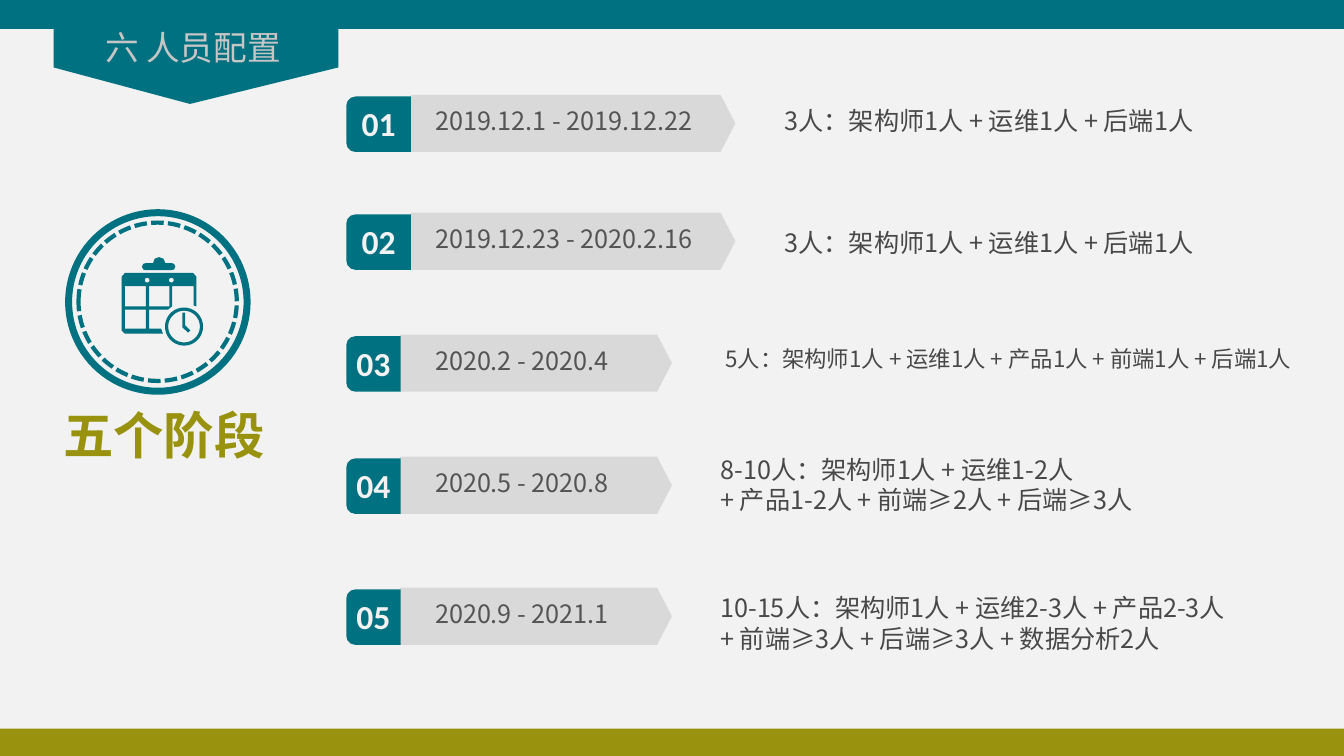
"""Build the staffing slide with its five dated stages."""
from dataclasses import dataclass
from math import cos, pi, sin

from lxml.etree import SubElement
from pptx import Presentation
from pptx.dml.color import RGBColor
from pptx.enum.dml import MSO_LINE
from pptx.enum.shapes import MSO_SHAPE
from pptx.enum.text import PP_ALIGN
from pptx.oxml.ns import qn
from pptx.shapes.autoshape import Shape
from pptx.slide import Slide
from pptx.util import Cm, Pt

HUES = {
    "teal": "007180", "olive": "98920E", "plate": "D9D9D9", "page": "F2F2F2",
    "title": "C6C6C6", "date": "545454", "staff": "484849",
}
HAN = "Noto Sans CJK SC"
FONTS = {
    "title": {"name": HAN, "size": Pt(24), "bold": False},
    "head": {"name": HAN, "size": Pt(36), "bold": True},
    "num": {"name": "Calibri", "size": Pt(24), "bold": True},
    "body": {"name": HAN, "size": Pt(18), "bold": False},
    "small": {"name": HAN, "size": Pt(16), "bold": False},
}
FLUSH = {"margin_left": 0, "margin_right": 0, "margin_top": 0, "margin_bottom": 0}
WIDTH, HEIGHT, BAND = 33.88, 19.05, 0.73
UNITS = 1000

Box = tuple[float, float, float, float]
Points = list[tuple[float, float]]


@dataclass(frozen=True)
class Layout:
    badge: float
    plate: Box
    staff: float


@dataclass(frozen=True)
class Stage:
    num: str
    date: str
    top: float
    layout: Layout
    staff: list[str]
    drop: float
    span: float
    font: str = "body"


WIDE = Layout(1.63, (10.36, 0, 8.18, 1.44), 19.53)
SLIM = Layout(1.37, (10.08, 0, 6.86, 1.44), 17.91)
TRIO = ["3人：架构师1人 + 运维1人 + 后端1人"]
STAGES = [
    Stage("01", "2019.12.1 - 2019.12.22", 2.39, WIDE, TRIO, 0.15, 11.43),
    Stage("02", "2019.12.23 - 2020.2.16", 5.36, WIDE, TRIO, 0.25, 11.43),
    Stage("03", "2020.2 - 2020.4", 8.43, SLIM,
          [" 5人：架构师1人 + 运维1人 + 产品1人 + 前端1人 + 后端1人"], 0.15, 16, "small"),
    Stage("04", "2020.5 - 2020.8", 11.51, SLIM,
          ["8-10人：架构师1人 + 运维1-2人", "+ 产品1-2人 + 前端≥2人 + 后端≥3人"], -0.18, 11.4),
    Stage("05", "2020.9 - 2021.1", 14.81, SLIM,
          ["10-15人：架构师1人 + 运维2-3人 + 产品2-3人",
           "+ 前端≥3人 + 后端≥3人 + 数据分析2人"], 0, 14.3),
]


def tint(hue: str) -> RGBColor:
    return RGBColor.from_string(HUES[hue])


def paint(shape: Shape, hue: str) -> None:
    shape.shadow.inherit = False
    shape.fill.solid()
    shape.fill.fore_color.rgb = tint(hue)
    shape.line.fill.background()


def block(slide: Slide, kind: MSO_SHAPE, box: Box, hue: str) -> Shape:
    shape = slide.shapes.add_shape(kind, *map(Cm, box))
    paint(shape, hue)
    return shape


def ring(slide: Slide, box: Box, weight: float, dash: MSO_LINE) -> None:
    shape = slide.shapes.add_shape(MSO_SHAPE.OVAL, *map(Cm, box))
    shape.shadow.inherit = False
    shape.fill.background()
    shape.line.color.rgb = tint("teal")
    shape.line.width = Pt(weight)
    shape.line.dash_style = dash


def write(slide: Slide, box: Box, lines: list[str], style: str, hue: str,
          align: PP_ALIGN = PP_ALIGN.LEFT, flush: bool = False) -> None:
    frame = slide.shapes.add_textbox(*map(Cm, box)).text_frame
    frame.word_wrap = True
    if flush:
        for name, value in FLUSH.items():
            setattr(frame, name, value)
    for i, line in enumerate(lines):
        para = frame.add_paragraph() if i else frame.paragraphs[0]
        para.alignment = align
        run = para.add_run()
        run.text = line
        for name, value in FONTS[style].items():
            setattr(run.font, name, value)
        run.font.color.rgb = tint(hue)
        SubElement(run._r.get_or_add_rPr(), qn("a:ea"), typeface=FONTS[style]["name"])


def outline(slide: Slide, parts: list[Points], hue: str) -> None:
    scaled = [[(x * UNITS, y * UNITS) for x, y in part] for part in parts]
    pen = slide.shapes.build_freeform(*scaled[0][0], scale=Cm(1) / UNITS)
    for i, part in enumerate(scaled):
        if i:
            pen.move_to(*part[0])
        pen.add_line_segments(part[1:], close=True)
    paint(pen.convert_to_shape(), hue)


def disc(x: float, y: float, size: float) -> Points:
    turns = [2 * pi * i / 36 for i in range(36)]
    return [(x + size * cos(t), y + size * sin(t)) for t in turns]


def pane(left: float, top: float, right: float, base: float) -> Points:
    return [(left, top), (right, top), (right, base), (left, base)]


def icon(slide: Slide) -> None:
    clip = [(3.58, 6.72), (3.61, 6.65), (3.68, 6.63), (3.86, 6.63), (3.9, 6.52),
            (4.01, 6.48), (4.12, 6.52), (4.17, 6.63), (4.32, 6.63), (4.39, 6.65),
            (4.42, 6.72), (4.39, 6.79), (4.32, 6.81), (3.68, 6.81), (3.61, 6.79)]
    page = [(3.07, 6.97), (3.15, 6.88), (4.87, 6.88), (4.95, 6.97), (4.95, 7.72),
            (4.88, 7.7), (4.88, 7.21), (4.34, 7.21), (4.34, 7.72), (4.24, 7.8),
            (3.76, 7.8), (3.76, 8.28), (4.06, 8.28), (4.11, 8.41), (3.15, 8.41),
            (3.07, 8.33)]
    hands = [(4.6, 7.88), (4.67, 7.88), (4.67, 8.2), (4.8, 8.33), (4.74, 8.38), (4.6, 8.25)]
    holes = [pane(3.15, 7.21, 3.68, 7.72), pane(3.15, 7.8, 3.68, 8.28),
             pane(3.76, 7.21, 4.27, 7.72), disc(3.71, 7.06, 0.06), disc(4.32, 7.06, 0.06)]
    clock = [disc(4.64, 8.23, 0.48), disc(4.64, 8.23, 0.4), hands]
    outline(slide, [clip, page, *holes, *clock], "teal")


def draw(slide: Slide, stage: Stage) -> None:
    form, top = stage.layout, stage.top
    left, _, width, height = form.plate
    plate = block(slide, MSO_SHAPE.PENTAGON, (left, top, width, height), "plate")
    plate.adjustments[0] = 0.26
    edge, tall = 8.73, 1.4
    shift = (form.badge - tall) / 2
    badge = block(slide, MSO_SHAPE.ROUND_2_SAME_RECTANGLE,
                  (edge + shift, top + 0.04 - shift, tall, form.badge), "teal")
    badge.rotation = 270
    write(slide, (edge, top + 0.2, form.badge, 1.02), [stage.num], "num", "page",
          PP_ALIGN.CENTER, True)
    write(slide, (10.72, top + 0.15, width - 0.4, 1.02), [stage.date], "body", "date")
    write(slide, (form.staff, top + stage.drop, stage.span, 1.02), stage.staff,
          stage.font, "staff")


def main() -> None:
    deck = Presentation()
    deck.slide_width, deck.slide_height = Cm(WIDTH), Cm(HEIGHT)
    slide = deck.slides.add_slide(deck.slide_layouts[6])
    slide.background.fill.solid()
    slide.background.fill.fore_color.rgb = tint("page")
    outline(slide, [[(1.35, 0.66), (8.53, 0.66), (8.53, 1.7), (4.79, 2.62), (1.35, 1.7)]], "teal")
    block(slide, MSO_SHAPE.RECTANGLE, (0, 0, WIDTH, BAND), "teal")
    block(slide, MSO_SHAPE.RECTANGLE, (0, 18.36, WIDTH, HEIGHT - 18.36), "olive")
    write(slide, (1.12, 0.56, 7.49, 1.27), ["六 人员配置"], "title", "title", PP_ALIGN.CENTER)
    write(slide, (1.12, 10.06, 6.02, 1.8), ["五个阶段"], "head", "olive", PP_ALIGN.CENTER)
    ring(slide, (1.98, 5.61, 3.99, 3.99), 3, MSO_LINE.SQUARE_DOT)
    ring(slide, (1.73, 5.36, 4.5, 4.5), 5, MSO_LINE.SOLID)
    icon(slide)
    for stage in STAGES:
        draw(slide, stage)
    deck.save("out.pptx")


if __name__ == "__main__":
    main()
